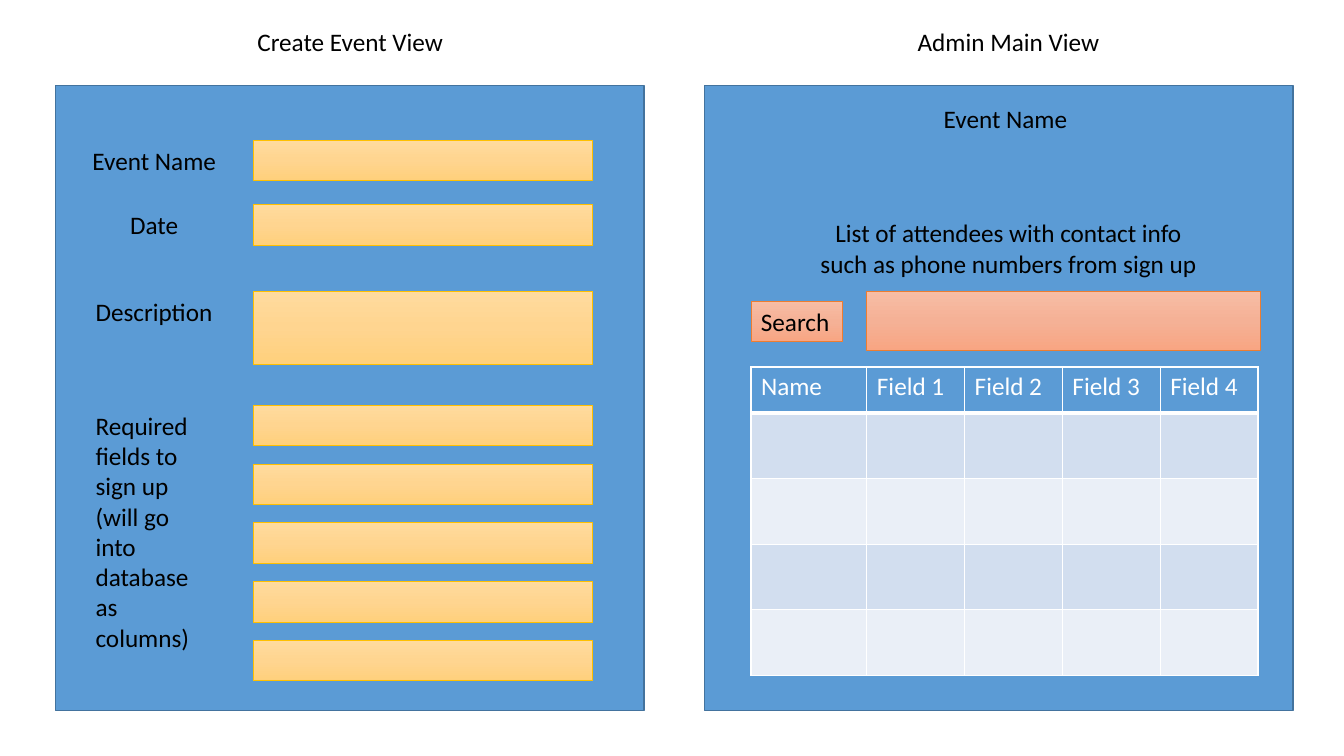
from copy import deepcopy
from dataclasses import dataclass
from lxml.etree import SubElement
from pptx import Presentation
from pptx.dml.color import RGBColor
from pptx.enum.shapes import MSO_SHAPE
from pptx.enum.text import MSO_ANCHOR, PP_ALIGN
from pptx.oxml.ns import qn
from pptx.util import Inches, Pt

COLUMNS, ROWS = 80, 45
BLACK, WHITE, BLUE = "000000", "FFFFFF", "5B9BD5"
BANDS = ["D2DEEF", "EAEFF7"]
YELLOW = (["FFDB9E", "FFD590", "FFD07C"], "FFC000")
ORANGE = (["F7BDA5", "F5B196", "F8A582"], "ED7D31")
FONT = {"name": "Calibri", "size": Pt(18), "bold": False}
FRAME = {"word_wrap": True, "vertical_anchor": MSO_ANCHOR.TOP}
PANEL_TOP, PANEL_HEIGHT, LINE_HEIGHT = 5.1, 37.2, 2.4

deck = Presentation()
deck.slide_width, deck.slide_height = Inches(13.33), Inches(7.5)
slide = deck.slides.add_slide(deck.slide_layouts[6])


@dataclass
class Region:
    left: float
    top: float
    width: float

    def place(self, left, top, width, height):
        column, row = deck.slide_width / COLUMNS, deck.slide_height / ROWS
        return [round(cells * unit) for cells, unit in (
            (self.left + left, column), (self.top + top, row),
            (width, column), (height, row))]


def color(value):
    return RGBColor.from_string(value)


def apply(target, values):
    for key, value in values.items():
        setattr(target, key, value)


def write(frame, text, align=PP_ALIGN.LEFT, ink=BLACK):
    apply(frame, FRAME)
    paragraph = frame.paragraphs[0]
    paragraph.alignment = align
    run = paragraph.add_run()
    run.text = text
    apply(run.font, FONT)
    run.font.color.rgb = color(ink)


def label(place, text, align=PP_ALIGN.CENTER):
    write(slide.shapes.add_textbox(*place).text_frame, text, align)


def rectangle(place, outline, weight):
    shape = slide.shapes.add_shape(MSO_SHAPE.RECTANGLE, *place)
    shape.shadow.inherit = False
    shape.line.color.rgb = color(outline)
    shape.line.width = Pt(weight)
    return shape


def field(place, palette):
    shades, outline = palette
    shape = rectangle(place, outline, 0.5)
    shape.fill.gradient()
    shape.fill.gradient_angle = 270
    stops = shape.element.spPr.find(".//" + qn("a:gsLst"))
    stops.insert(1, deepcopy(stops[0]))
    for index, (stop, shade) in enumerate(zip(shape.fill.gradient_stops, shades)):
        stop.position = index / (len(shades) - 1)
        stop.color.rgb = color(shade)
    return shape


def panel(region, title, title_left):
    label(region.place(title_left, 1.26, 18.18, LINE_HEIGHT), title)
    background = rectangle(
        region.place(0, PANEL_TOP, region.width, PANEL_HEIGHT), "43739E", 1)
    background.fill.solid()
    background.fill.fore_color.rgb = color(BLUE)


def style_cell(cell, fill, bottom_weight):
    cell.fill.solid()
    cell.fill.fore_color.rgb = color(fill)
    properties = cell.fill._xPr
    weights = {"a:lnL": 1, "a:lnR": 1, "a:lnT": 1, "a:lnB": bottom_weight}
    for index, (side, weight) in enumerate(weights.items()):
        border = SubElement(properties, qn(side), w=str(Pt(weight)))
        solid = SubElement(border, qn("a:solidFill"))
        SubElement(solid, qn("a:srgbClr"), val=WHITE)
        properties.insert(index, border)


def attendee_table(region, left, top):
    headings = ["Name"] + [f"Field {number}" for number in range(1, 5)]
    widths = [6.9] + [5.82] * 4
    heights = [2.76] + [3.9] * 4
    place = region.place(left, top, sum(widths), sum(heights))
    table = slide.shapes.add_table(len(heights), len(widths), *place).table
    for column, width in zip(table.columns, widths):
        column.width = region.place(0, 0, width, 0)[2]
    for index, height in enumerate(heights):
        table.rows[index].height = region.place(0, 0, 0, height)[3]
        for cell in table.rows[index].cells:
            style_cell(cell, BANDS[(index - 1) % 2] if index else BLUE,
                       1 if index else 3)
    for cell, heading in zip(table.rows[0].cells, headings):
        write(cell.text_frame, heading, ink=WHITE)


def create_event_view(region):
    panel(region, "Create Event View", 8.46)
    input_left, input_width = 11.76, 20.22
    for text, top in (("Event Name", 8.34), ("Date", 12.18)):
        label(region.place(0, top, input_left, LINE_HEIGHT), text)
    required = "Required fields to sign up (will go into database as columns)"
    for text, top, height in (("Description", 17.34, LINE_HEIGHT),
                              (required, 24.12, 15.12)):
        label(region.place(1.8, top, 8.16, height), text, PP_ALIGN.LEFT)
    inputs = [(8.34, LINE_HEIGHT), (12.18, LINE_HEIGHT), (17.34, 4.32)]
    inputs += [(24.12 + 3.5 * index, LINE_HEIGHT) for index in range(5)]
    for top, height in inputs:
        field(region.place(input_left, top, input_width, height), YELLOW)


def admin_main_view(region):
    panel(region, "Admin Main View", 9)
    label(region.place(8.82, 5.88, 18.18, LINE_HEIGHT), "Event Name")
    label(region.place(6, 12.66, 24.18, 4.26),
          "List of attendees with contact info such as phone numbers from sign up")
    field(region.place(9.6, 17.34, 23.46, 3.54), ORANGE)
    search = field(region.place(2.76, 17.94, 5.46, LINE_HEIGHT), ORANGE)
    write(search.text_frame, "Search")
    attendee_table(region, 2.76, 21.84)


create_event_view(Region(3.3, 0, 35.04))
admin_main_view(Region(41.94, 0, 35.04))
deck.save("out.pptx")
